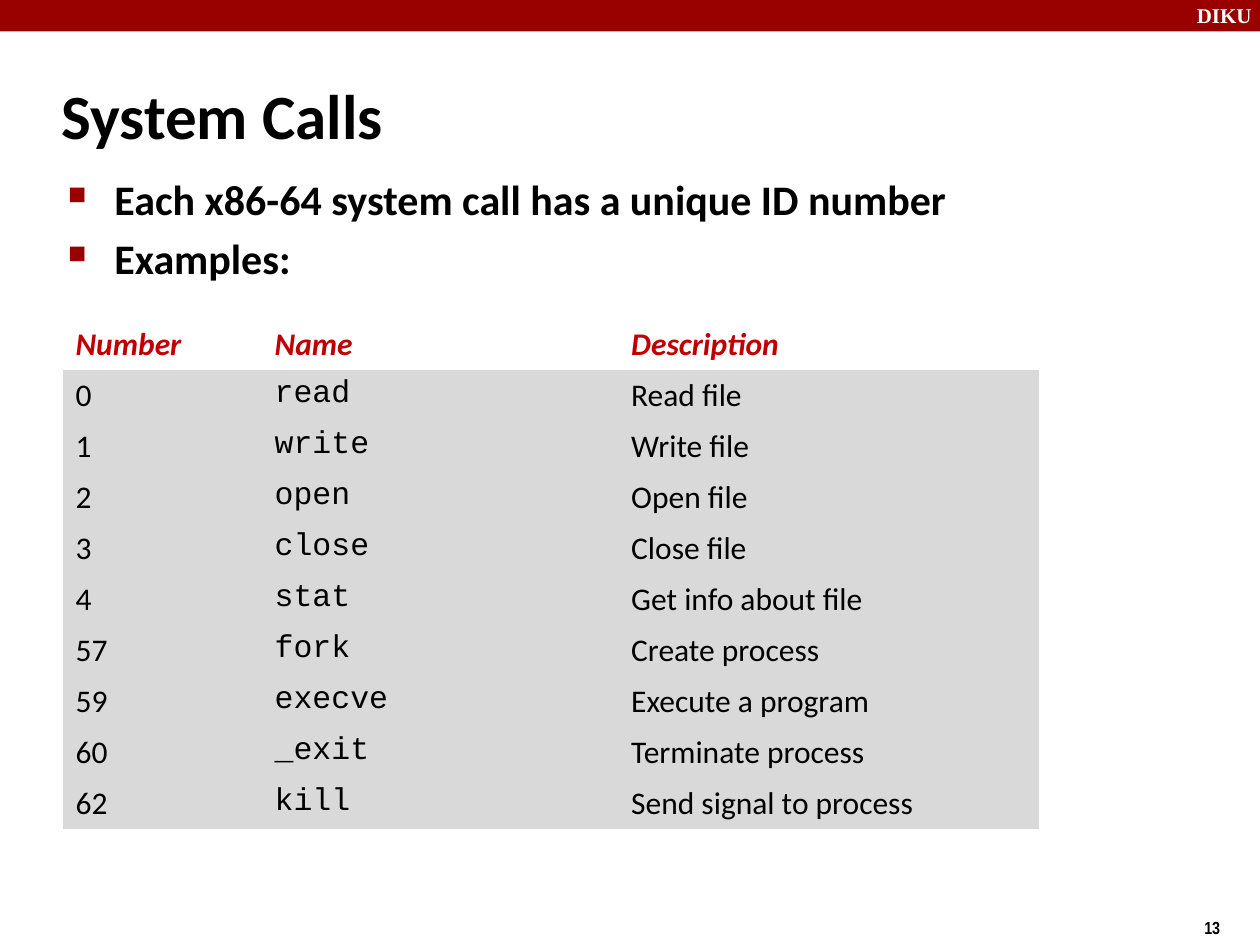
"""Build the System Calls slide with its bullets and table of call numbers."""
from dataclasses import dataclass

from lxml import etree
from pptx import Presentation
from pptx import util as u
from pptx.dml.color import RGBColor
from pptx.enum import shapes, text
from pptx.oxml import ns

RED, BLACK, WHITE, GREY = "990000", "000000", "FFFFFF", "D9D9D9"
NO_GRID = "{2D5ABB26-0587-4C30-8999-92F81FD0307C}"
BODY = {"name": "Calibri", "size": u.Pt(18), "bold": False, "italic": False}
HEAD = BODY | {"bold": True, "italic": True}
CODE = BODY | {"name": "Courier New"}
COLUMNS = [("Number", 1.58, BODY), ("Name", 2.83, CODE), ("Description", 3.34, BODY)]
ROW_HEIGHT = 4.05 / 10


@dataclass
class Label:
    lines: list[str]
    box: tuple[float, float, float, float]
    font: str
    size: int
    color: str = BLACK
    anchor: text.MSO_ANCHOR = text.MSO_ANCHOR.TOP
    bullets: bool = False


@dataclass
class SystemCall:
    number: int
    name: str
    description: str


LABELS = [
    Label(["DIKU"], (9.4, -0.03, 0.67, 0.3), "Times New Roman", 12, WHITE),
    Label(["13"], (9.46, 7.23, 0.74, 0.27), "Arial Narrow", 10),
    Label(["System Calls"], (0.39, 0.49, 8.3, 0.83), "Calibri", 36,
          anchor=text.MSO_ANCHOR.MIDDLE),
    Label(["Each x86-64 system call has a unique ID number", "Examples:"],
          (0.43, 1.33, 8.64, 5.83), "Calibri", 24, bullets=True),
]
CALLS = [
    SystemCall(0, "read", "Read file"),
    SystemCall(1, "write", "Write file"),
    SystemCall(2, "open", "Open file"),
    SystemCall(3, "close", "Close file"),
    SystemCall(4, "stat", "Get info about file"),
    SystemCall(57, "fork", "Create process"),
    SystemCall(59, "execve", "Execute a program"),
    SystemCall(60, "_exit", "Terminate process"),
    SystemCall(62, "kill", "Send signal to process"),
]


def rgb(value: str) -> RGBColor:
    return RGBColor.from_string(value)


def fill(target, color: str) -> None:
    target.fill.solid()
    target.fill.fore_color.rgb = rgb(color)


def write(p, content: str, color: str, formats: dict) -> None:
    r = p.add_run()
    r.text = content
    for key, value in formats.items():
        setattr(r.font, key, value)
    r.font.color.rgb = rgb(color)


def add_bullet(p) -> None:
    pPr = p._p.get_or_add_pPr()
    pPr.set("marL", str(u.Inches(0.38)))
    pPr.set("indent", str(-u.Inches(0.37)))
    color = etree.SubElement(pPr, ns.qn("a:buClr"))
    etree.SubElement(color, ns.qn("a:srgbClr"), val=RED)
    etree.SubElement(pPr, ns.qn("a:buSzPct"), val="60000")
    etree.SubElement(pPr, ns.qn("a:buChar"), char="■")


def add_label(s, label: Label) -> None:
    tf = s.shapes.add_textbox(*map(u.Inches, label.box)).text_frame
    tf.word_wrap = True
    tf.vertical_anchor = label.anchor
    formats = {"name": label.font, "size": u.Pt(label.size), "bold": True}
    for i, line in enumerate(label.lines):
        p = tf.add_paragraph() if i else tf.paragraphs[0]
        if label.bullets:
            add_bullet(p)
        if i:
            p.space_before = u.Pt(4.8)
        write(p, line, label.color, formats)


def add_call_table(s, calls: list[SystemCall]) -> None:
    rows = len(calls) + 1
    width = sum(w for _, w, _ in COLUMNS)
    table = s.shapes.add_table(
        rows, len(COLUMNS), u.Inches(0.5), u.Inches(2.53),
        u.Inches(width), u.Inches(ROW_HEIGHT * rows)).table
    table.first_row = table.horz_banding = False
    table._tbl.tblPr.find(ns.qn("a:tableStyleId")).text = NO_GRID
    for row in table.rows:
        row.height = u.Inches(ROW_HEIGHT)
    for col, (title, col_width, formats) in enumerate(COLUMNS):
        table.columns[col].width = u.Inches(col_width)
        head = table.cell(0, col)
        fill(head, WHITE)
        write(head.text_frame.paragraphs[0], title, "C00000", HEAD)
        for row, call in enumerate(calls, 1):
            cell = table.cell(row, col)
            fill(cell, GREY)
            value = (call.number, call.name, call.description)[col]
            write(cell.text_frame.paragraphs[0], str(value), BLACK, formats)


def main() -> None:
    prs = Presentation()
    prs.slide_width, prs.slide_height = u.Inches(10), u.Inches(7.5)
    s = prs.slides.add_slide(prs.slide_layouts[6])
    sp = s.shapes.add_shape(shapes.MSO_SHAPE.RECTANGLE, 0, 0, u.Inches(10), u.Inches(0.25))
    sp.shadow.inherit = False
    sp.line.fill.background()
    fill(sp, RED)
    for label in LABELS:
        add_label(s, label)
    add_call_table(s, CALLS)
    prs.save("out.pptx")


if __name__ == "__main__":
    main()
